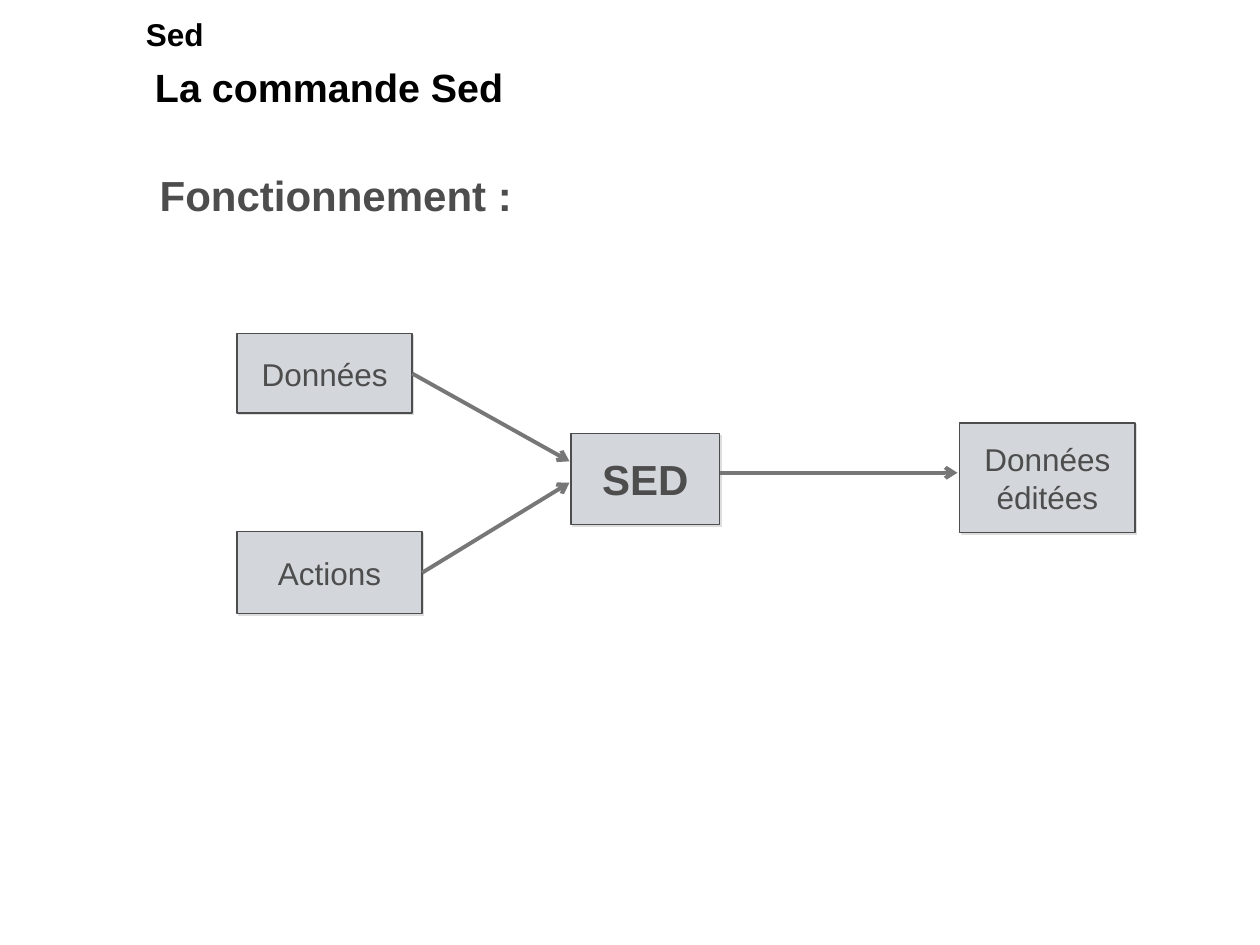
from lxml.etree import SubElement
from pptx import Presentation
from pptx.dml.color import RGBColor
from pptx.enum.shapes import MSO_CONNECTOR, MSO_SHAPE
from pptx.enum.text import MSO_ANCHOR, MSO_AUTO_SIZE, PP_ALIGN
from pptx.oxml.ns import qn
from pptx.util import Cm, Pt

BLACK = RGBColor(0x00, 0x00, 0x00)
DARK_GREY = RGBColor(0x4D, 0x4D, 0x4D)
ARROW_GREY = RGBColor(0x77, 0x77, 0x77)
BOX_FILL = RGBColor(0xD3, 0xD7, 0xDB)
BOX_SHADOW = RGBColor(0xDD, 0xDD, 0xDD)

RIGHT_SIDE = 3
FRAME = {"word_wrap": True, "auto_size": MSO_AUTO_SIZE.NONE}
LEFT = {"alignment": PP_ALIGN.LEFT}
CENTRED = {"alignment": PP_ALIGN.CENTER}


def apply(target, values):
    for name, value in values.items():
        setattr(target, name, value)


def write(shape, text, size, color, bold, anchor, paragraph_format):
    """Fill a shape with text, one paragraph for each line."""
    frame = shape.text_frame
    apply(frame, FRAME | {"vertical_anchor": anchor})
    frame.text = text
    for paragraph in frame.paragraphs:
        apply(paragraph, paragraph_format)
        for run in paragraph.runs:
            apply(run.font, {"name": "Arial", "size": Pt(size), "bold": bold})
            run.font.color.rgb = color


def add_header(slide, left, top, width):
    # Chapter name
    chapter = slide.shapes.add_textbox(Cm(left), Cm(top), Cm(width), Cm(1.4))
    write(chapter, "Sed", 18, BLACK, True, MSO_ANCHOR.TOP,
          LEFT | {"line_spacing": 1.5, "space_before": Pt(11.2)})

    # Slide title
    title = slide.shapes.title
    apply(title, {"left": Cm(left + 0.18), "top": Cm(top + 1.32),
                  "width": Cm(width - 1.25), "height": Cm(1.27)})
    write(title, "La commande Sed", 22.5, BLACK, True, MSO_ANCHOR.MIDDLE, LEFT)

    # Section heading
    heading = slide.shapes.add_textbox(Cm(left + 0.28), Cm(top + 2.99),
                                       Cm(width - 1.3), Cm(1.78))
    write(heading, "Fonctionnement :", 24, DARK_GREY, True, MSO_ANCHOR.TOP,
          LEFT | {"line_spacing": 1.5})


def add_step(slide, text, left, top, width, height, size=18, bold=False):
    step = slide.shapes.add_shape(MSO_SHAPE.RECTANGLE, Cm(left), Cm(top),
                                  Cm(width), Cm(height))
    step.fill.solid()
    step.fill.fore_color.rgb = BOX_FILL
    step.line.color.rgb = DARK_GREY
    step.line.width = Pt(0.75)
    write(step, text, size, DARK_GREY, bold, MSO_ANCHOR.MIDDLE, CENTRED)

    # Hard shadow, down to the right
    step.shadow.inherit = False
    effects = step._element.spPr.find(qn("a:effectLst"))
    shadow = SubElement(effects, qn("a:outerShdw"), blurRad="0",
                        dist=str(Pt(1.4)), dir="2700000", rotWithShape="0")
    SubElement(shadow, qn("a:srgbClr"), val=str(BOX_SHADOW))
    return step


def add_arrow(slide, start, end):
    points = [Cm(value) for value in (*start, *end)]
    arrow = slide.shapes.add_connector(MSO_CONNECTOR.STRAIGHT, *points)
    arrow.line.color.rgb = ARROW_GREY
    arrow.line.width = Pt(2.25)
    SubElement(arrow.line._get_or_add_ln(), qn("a:tailEnd"), type="arrow")
    SubElement(arrow._element.spPr, qn("a:effectLst"))
    return arrow


def add_flow(slide, left, top):
    # Inputs, program and result
    data = add_step(slide, "Données", left, top, 3.53, 1.6)
    actions = add_step(slide, "Actions", left, top + 3.99, 3.73, 1.65)
    add_step(slide, "SED", left + 6.73, top + 2.01, 3, 1.83, 24, True)
    add_step(slide, "Données\néditées", left + 14.57, top + 1.8, 3.53, 2.21)

    # Both inputs lead to the program
    for source, start, end_y in ((data, (3.53, 0.8), 2.57),
                                 (actions, (3.73, 4.82), 3)):
        arrow = add_arrow(slide, (left + start[0], top + start[1]),
                          (left + 6.7, top + end_y))
        arrow.begin_connect(source, RIGHT_SIDE)

    # The program leads to the result
    add_arrow(slide, (left + 9.73, top + 2.8), (left + 14.52, top + 2.8))


def main():
    deck = Presentation()
    deck.slide_width, deck.slide_height = Cm(25.4), Cm(19.05)
    title_only = deck.slide_layouts[5]
    slide = deck.slides.add_slide(title_only)
    add_header(slide, 2.69, -0.2, 22.71)
    add_flow(slide, 4.78, 6.73)
    deck.save("out.pptx")


if __name__ == "__main__":
    main()
